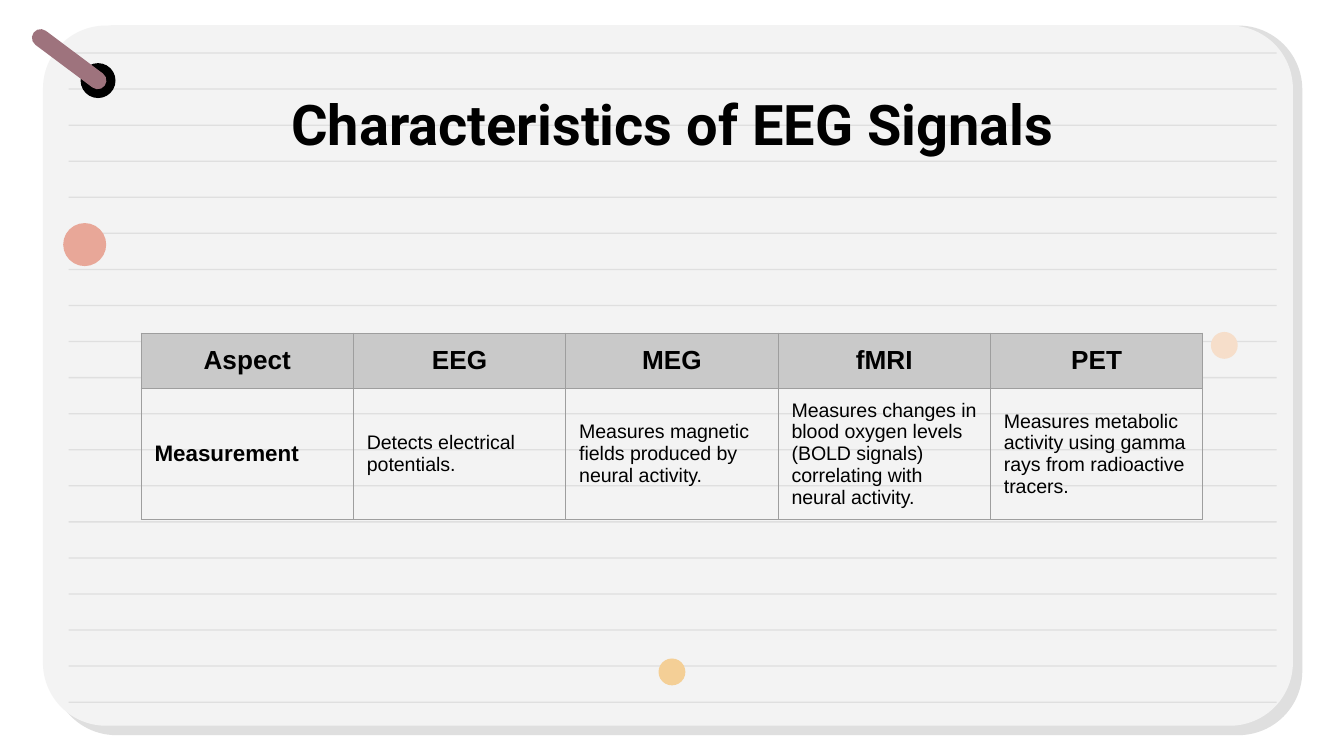
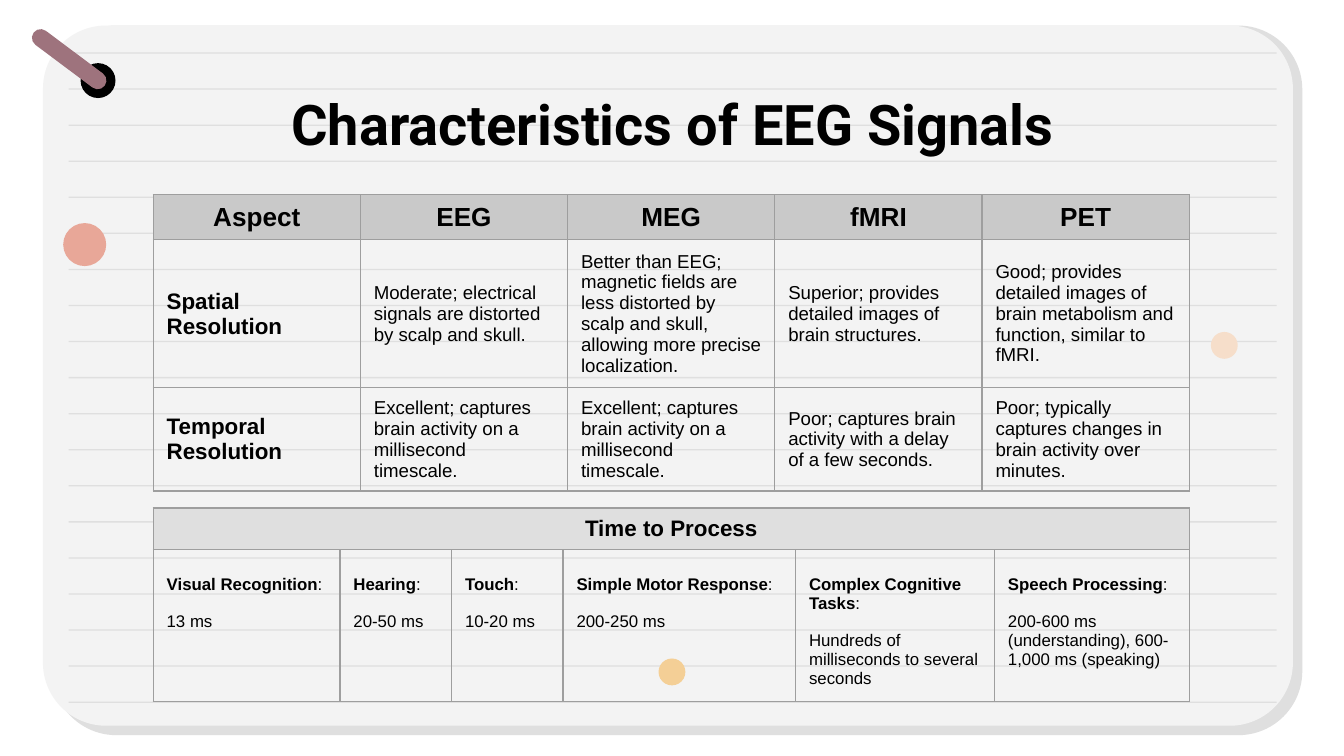
from pptx import Presentation
from pptx.dml.color import RGBColor
from pptx.enum.shapes import MSO_SHAPE as Kind
from pptx.enum.text import MSO_ANCHOR as Anchor, PP_ALIGN as Align
from pptx.oxml import parse_xml
from pptx.oxml.ns import nsdecls
from pptx.util import Inches, Pt

BLACK = RGBColor(0x00, 0x00, 0x00)
PAPER = RGBColor(0xF3, 0xF3, 0xF3)
SHADE = RGBColor(0xDF, 0xDF, 0xDF)
HEAD = RGBColor(0xC9, 0xC9, 0xC9)
MAUVE = RGBColor(0x9E, 0x73, 0x7D)
CORAL = RGBColor(0xE8, 0xA7, 0x98)
AMBER = RGBColor(0xF4, 0xCF, 0x96)
PEACH = RGBColor(0xF6, 0xDE, 0xCA)
EDGE = "9E9E9E"

# Text formats
TITLE = {"name": "Roboto", "size": Pt(30), "bold": True}
TOP = {"name": "Arial", "size": Pt(14), "bold": True}
SIDE = {**TOP, "size": Pt(12)}
LABEL = {**TOP, "size": Pt(9)}
NOTE = {**LABEL, "bold": False}

# Table contents
NAMES = ["Aspect", "EEG", "MEG", "fMRI", "PET"]
MEASURE = [
    NAMES,
    ["Measurement",
     "Detects electrical potentials.",
     "Measures magnetic fields produced by neural activity.",
     "Measures changes in blood oxygen levels (BOLD signals) "
     "correlating with neural activity.",
     "Measures metabolic activity using gamma rays from radioactive tracers."],
]
FAST = "Excellent; captures brain activity on a millisecond timescale."
DETAIL = [
    NAMES,
    ["Spatial Resolution",
     "Moderate; electrical signals are distorted by scalp and skull.",
     "Better than EEG; magnetic fields are less distorted by scalp and skull, "
     "allowing more precise localization.",
     "Superior; provides detailed images of brain structures.",
     "Good; provides detailed images of brain metabolism and function, "
     "similar to fMRI."],
    ["Temporal Resolution", FAST, FAST,
     "Poor; captures brain activity with a delay of a few seconds.",
     "Poor; typically captures changes in brain activity over minutes."],
]
TIMES = [
    ["Time to Process"],
    [("Visual Recognition", "13 ms"),
     ("Hearing", "20-50 ms"),
     ("Touch", "10-20 ms"),
     ("Simple Motor Response", "200-250 ms"),
     ("Complex Cognitive Tasks",
      "Hundreds of milliseconds to several seconds"),
     ("Speech Processing",
      "200-600 ms (understanding), 600-1,000 ms (speaking)")],
]

# Per slide: left, top, column widths, least row heights, rows, body size
PAGES = [
    [(1.05, 2.48, [7.9 / 5] * 5, [0.41, 0.41], MEASURE, 10.5)],
    [(1.14, 1.45, [7.71 / 5] * 5, [0.32, 0.41, 0.41], DETAIL, 10),
     (1.14, 3.78, [1.39, 0.83, 0.83, 1.73, 1.48, 1.45], [0.31, 0.41],
      TIMES, 9)],
]

# Shared decoration: kind, box, colour, corner values, turn
DECOR = [
    (Kind.ROUNDED_RECTANGLE, (0.39, 0.19, 9.3, 5.28), SHADE, [0.09], 0),
    (Kind.ROUNDED_RECTANGLE, (0.32, 0.19, 9.3, 5.21), PAPER, [0.09], 0),
]
DECOR += [(Kind.RECTANGLE, (0.51, 0.39 + i * 4.83 / 18, 8.99, 0.01),
           SHADE, [], 0) for i in range(19)]
DECOR += [
    (Kind.OVAL, (0.6, 0.47, 0.26, 0.26), BLACK, [], 0),
    (Kind.ROUND_2_SAME_RECTANGLE, (0.45, 0.11, 0.13, 0.66), MAUVE,
     [0.5, 0.5], 306.8),
    (Kind.OVAL, (0.47, 1.66, 0.32, 0.32), CORAL, [], 0),
    (Kind.OVAL, (4.9, 4.9, 0.2, 0.2), AMBER, [], 0),
    (Kind.OVAL, (9.01, 2.47, 0.2, 0.2), PEACH, [], 0),
]


def write(par, text, form):
    run = par.add_run()
    run.text = text
    run.font.color.rgb = BLACK
    for key, value in form.items():
        setattr(run.font, key, value)


def frame(cell):
    for side in ("lnL", "lnR", "lnT", "lnB"):
        cell._tc.get_or_add_tcPr().append(parse_xml(
            f'<a:{side} {nsdecls("a")} w="9525"><a:solidFill>'
            f'<a:srgbClr val="{EDGE}"/></a:solidFill></a:{side}>'))


deck = Presentation()
deck.slide_width, deck.slide_height = Inches(10), Inches(10 * 9 / 16)

for page in PAGES:
    slide = deck.slides.add_slide(deck.slide_layouts[6])

    # Notebook card, rules, pin and dots
    for kind, box, color, corners, turn in DECOR:
        shape = slide.shapes.add_shape(kind, *map(Inches, box))
        shape.shadow.inherit = False
        shape.fill.solid()
        shape.fill.fore_color.rgb = color
        shape.line.fill.background()
        shape.rotation = turn
        for i, value in enumerate(corners):
            shape.adjustments[i] = value

    # Title
    box = slide.shapes.add_textbox(*map(Inches, (0.79, 0.57, 8.43, 0.63)))
    body = box.text_frame
    body.word_wrap = True
    for side in ("left", "right", "top", "bottom"):
        setattr(body, f"margin_{side}", Inches(0.1))
    par = body.paragraphs[0]
    par.alignment = Align.CENTER
    write(par, "Characteristics of EEG Signals", TITLE)

    # Tables
    for left, top, cols, highs, rows, size in page:
        grid = slide.shapes.add_table(
            len(highs), len(cols), Inches(left), Inches(top),
            Inches(sum(cols)), Inches(sum(highs))).table
        grid.first_row = grid.horz_banding = False
        for col, wide in zip(grid.columns, cols):
            col.width = Inches(wide)
        for row, high in zip(grid.rows, highs):
            row.height = Inches(high)
        for cell in grid.iter_cells():
            frame(cell)
            cell.fill.background()
            cell.margin_left = cell.margin_right = Inches(0.1)
            cell.margin_top = cell.margin_bottom = Inches(0.05)
            cell.vertical_anchor = Anchor.MIDDLE

        wide_head = len(rows[0]) == 1
        if wide_head:
            grid.cell(0, 0).merge(grid.cell(0, len(cols) - 1))

        for r, row in enumerate(rows):
            for c, entry in enumerate(row):
                cell = grid.cell(r, c)
                par = cell.text_frame.paragraphs[0]
                if r == 0:
                    cell.fill.solid()
                    cell.fill.fore_color.rgb = SHADE if wide_head else HEAD
                    par.alignment = Align.CENTER
                    write(par, entry, SIDE if wide_head else TOP)
                elif wide_head:
                    label, time = entry
                    cell.vertical_anchor = Anchor.TOP
                    cell.margin_top = Inches(0.19)
                    write(par, label, LABEL)
                    write(par, ":", NOTE)
                    par = cell.text_frame.add_paragraph()
                    par.space_before = Pt(10)
                    write(par, time, NOTE)
                elif c == 0:
                    write(par, entry, SIDE)
                else:
                    write(par, entry, {**NOTE, "size": Pt(size)})

deck.save("out.pptx")
